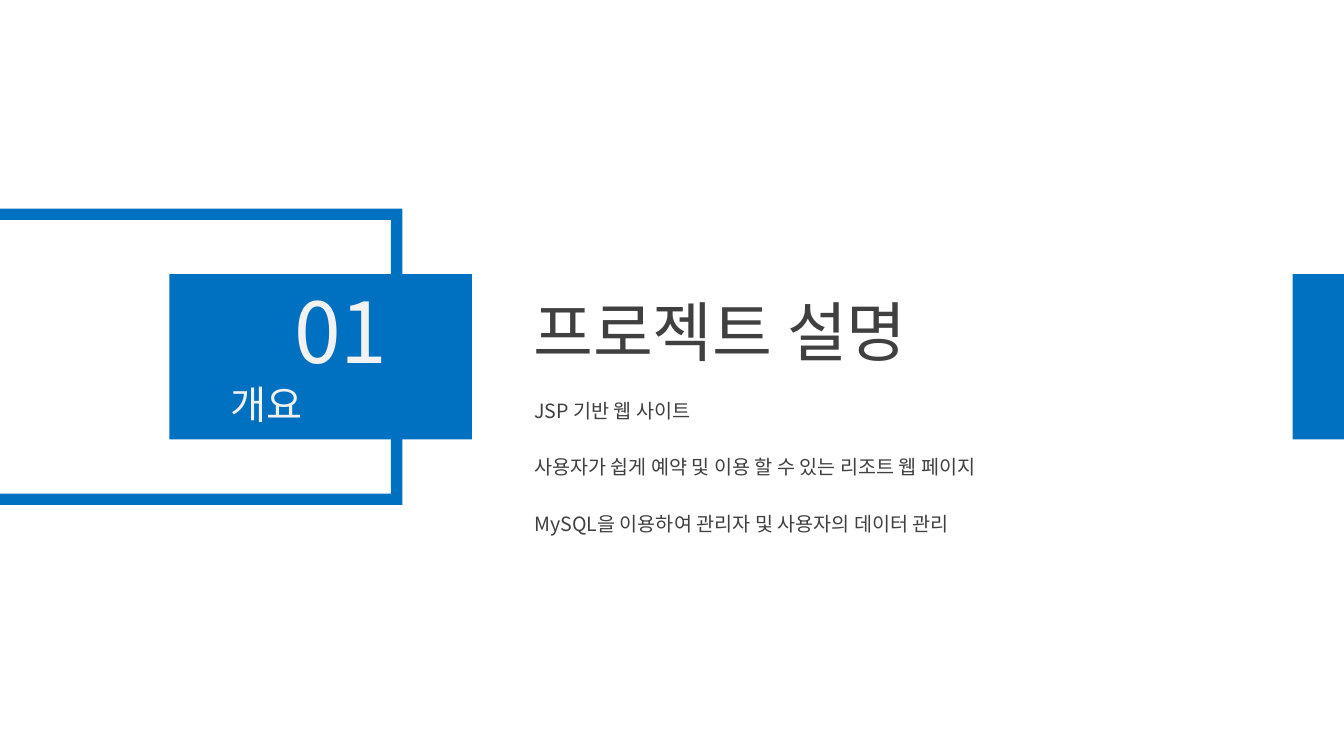
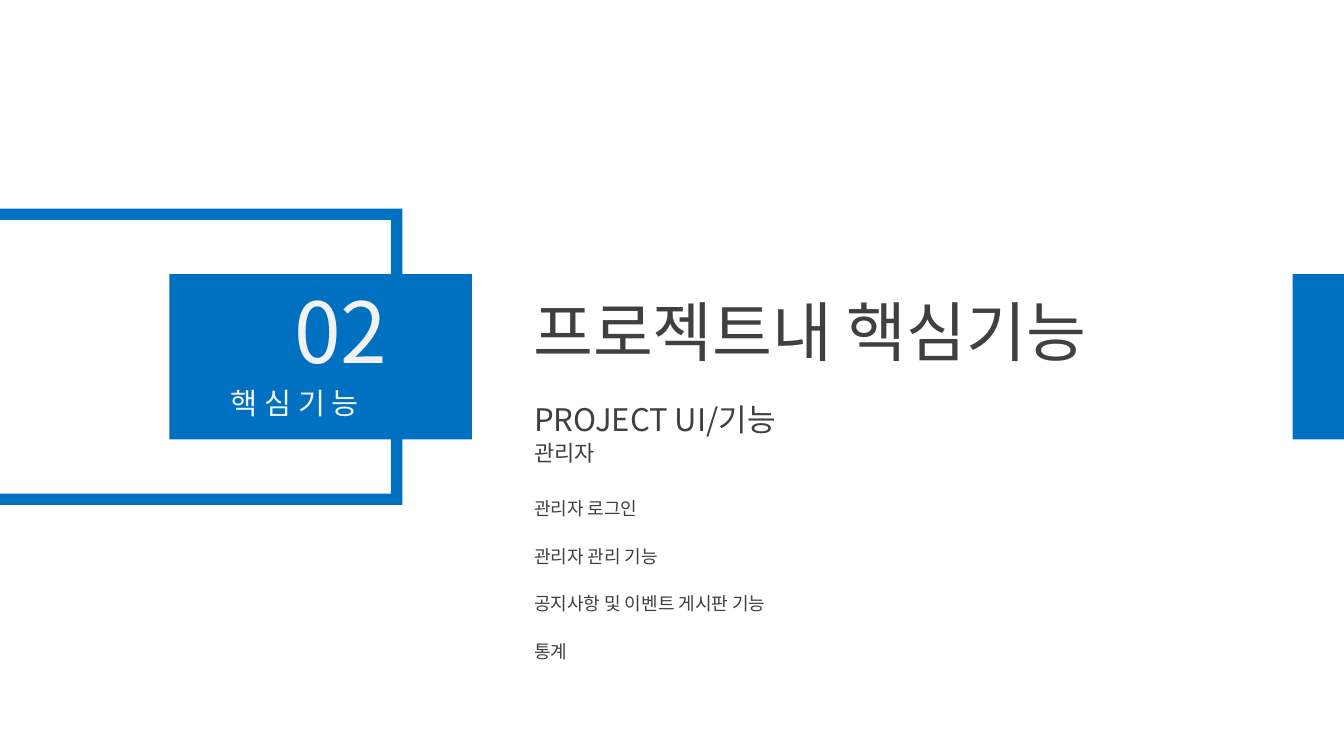
import pptx
import pptx.util
import pptx.dml.color
import pptx.enum.shapes
import pptx.enum.text
import pptx.oxml.ns
import lxml.etree

PX = 9144
COLORS = {"blue": "0070C0", "light": "F2F2F2", "dark": "404040"}
KOREAN = "Noto Sans CJK KR"
CHINESE = "Noto Sans CJK SC"
LABEL_LINE = 1.28
SHAPES = pptx.enum.shapes.MSO_SHAPE
ALIGN = pptx.enum.text.PP_ALIGN


def add_block(slide, kind, left, top, width, height):
    shape = slide.shapes.add_shape(kind, left * PX, top * PX, width * PX, height * PX)
    shape.shadow.inherit = False
    shape.fill.solid()
    shape.fill.fore_color.rgb = pptx.dml.color.RGBColor.from_string(COLORS["blue"])
    shape.line.fill.background()
    return shape


def add_text(slide, box, lines, color, font=KOREAN, align=ALIGN.JUSTIFY):
    left, top, width, height = box
    shape = slide.shapes.add_textbox(left * PX, top * PX, width * PX, height * PX)
    frame = shape.text_frame
    frame.word_wrap = True
    for index, (text, size, line, before) in enumerate(lines):
        paragraph = frame.paragraphs[0] if index == 0 else frame.add_paragraph()
        paragraph.alignment = align
        paragraph.line_spacing = pptx.util.Pt(line)
        paragraph.space_before = pptx.util.Pt(before)
        run = paragraph.add_run()
        run.text = text
        run.font.size = pptx.util.Pt(size)
        run.font.name = font
        run.font.color.rgb = pptx.dml.color.RGBColor.from_string(COLORS[color])
        east_asian = lxml.etree.SubElement(run.font._element, pptx.oxml.ns.qn("a:ea"))
        east_asian.set("typeface", font)


sections = [
    {
        "number": "01",
        "label": ("개요", 28, 369, 57),
        "title": ("프로젝트 설명", KOREAN),
        "body_height": 155,
        "body": [
            ("JSP 기반 웹 사이트", 14, 20.2, 0),
            ("사용자가 쉽게 예약 및 이용 할 수 있는 리조트 웹 페이지", 14, 20.2, 20.2),
            ("MySQL을 이용하여 관리자 및 사용자의 데이터 관리", 14, 20.2, 20.2),
        ],
    },
    {
        "number": "02",
        "label": ("핵 심 기 능", 21, 375, 45),
        "title": ("프로젝트내 핵심기능", CHINESE),
        "body_height": 294,
        "body": [
            ("PROJECT UI/기능", 22.2, 31.3, 0),
            ("관리자", 15.7, 20, 0),
            ("관리자 로그인", 12.9, 17, 21),
            ("관리자 관리 기능", 12.9, 17, 17),
            ("공지사항 및 이벤트 게시판 기능", 12.9, 17, 17),
            ("통계", 12.9, 17, 17),
        ],
    },
]

presentation = pptx.Presentation()
presentation.slide_width = pptx.util.Inches(13.33)
presentation.slide_height = pptx.util.Inches(7.5)

for section in sections:
    slide = presentation.slides.add_slide(presentation.slide_layouts[6])
    frame_shape = add_block(slide, SHAPES.FRAME, -29, 207, 428, 294)
    frame_shape.adjustments[0] = 0.038
    for left, width in ((168, 300), (1282, 51)):
        add_block(slide, SHAPES.RECTANGLE, left, 272, width, 164)

    label, label_size, label_top, label_height = section["label"]
    title, title_font = section["title"]
    headings = [
        (section["number"], 60, (282, 266, 148, 111), "light", KOREAN),
        (label, label_size, (219, label_top, 209, label_height), "light", KOREAN),
        (title, 46.5, (519, 279, 659, 73), "dark", title_font),
    ]
    for text, size, box, color, font in headings:
        add_text(slide, box, [(text, size, round(size * LABEL_LINE, 1), 0)], color, font)
    body_box = (520, 386, 695, section["body_height"])
    add_text(slide, body_box, section["body"], "dark", align=ALIGN.LEFT)

presentation.save("out.pptx")
